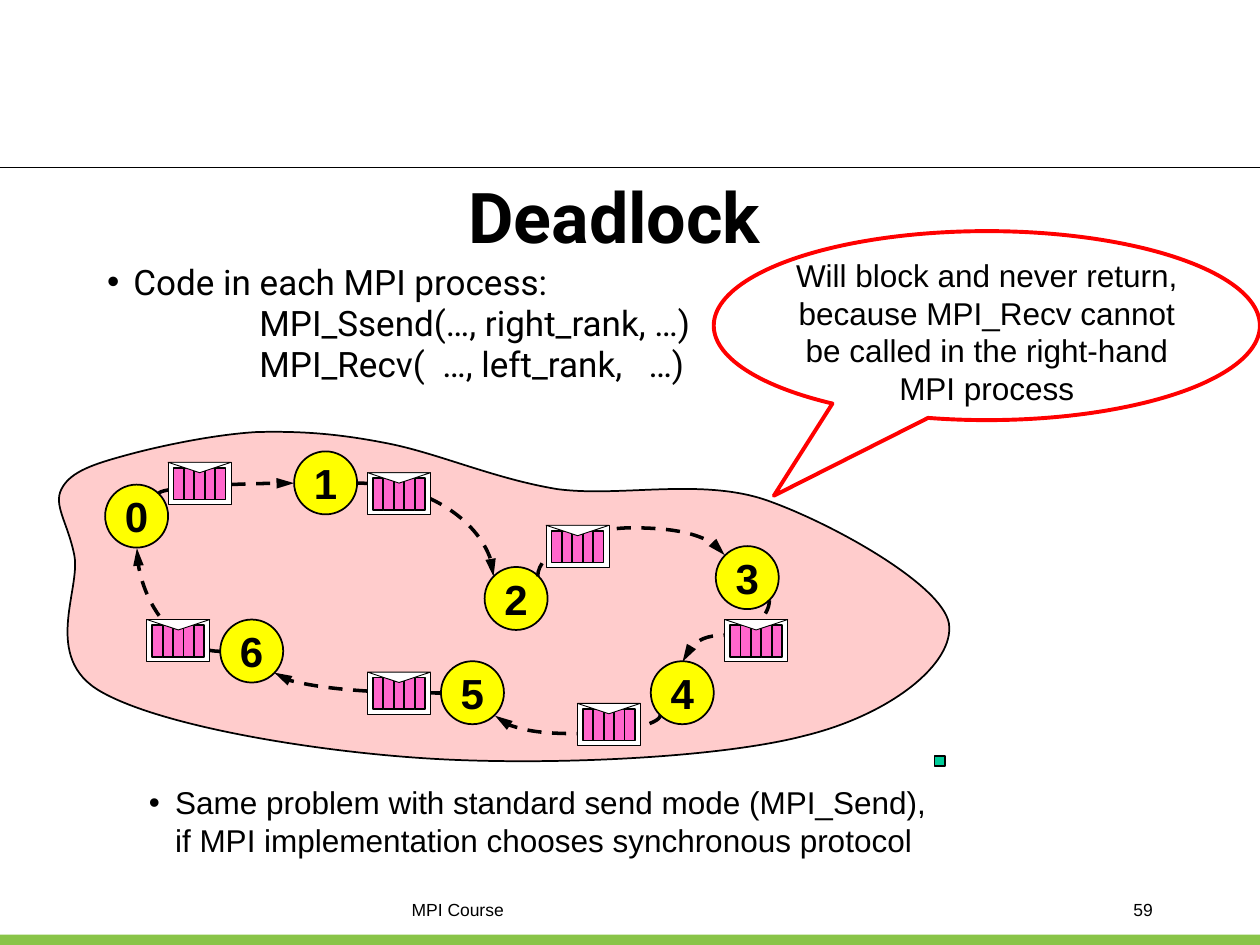
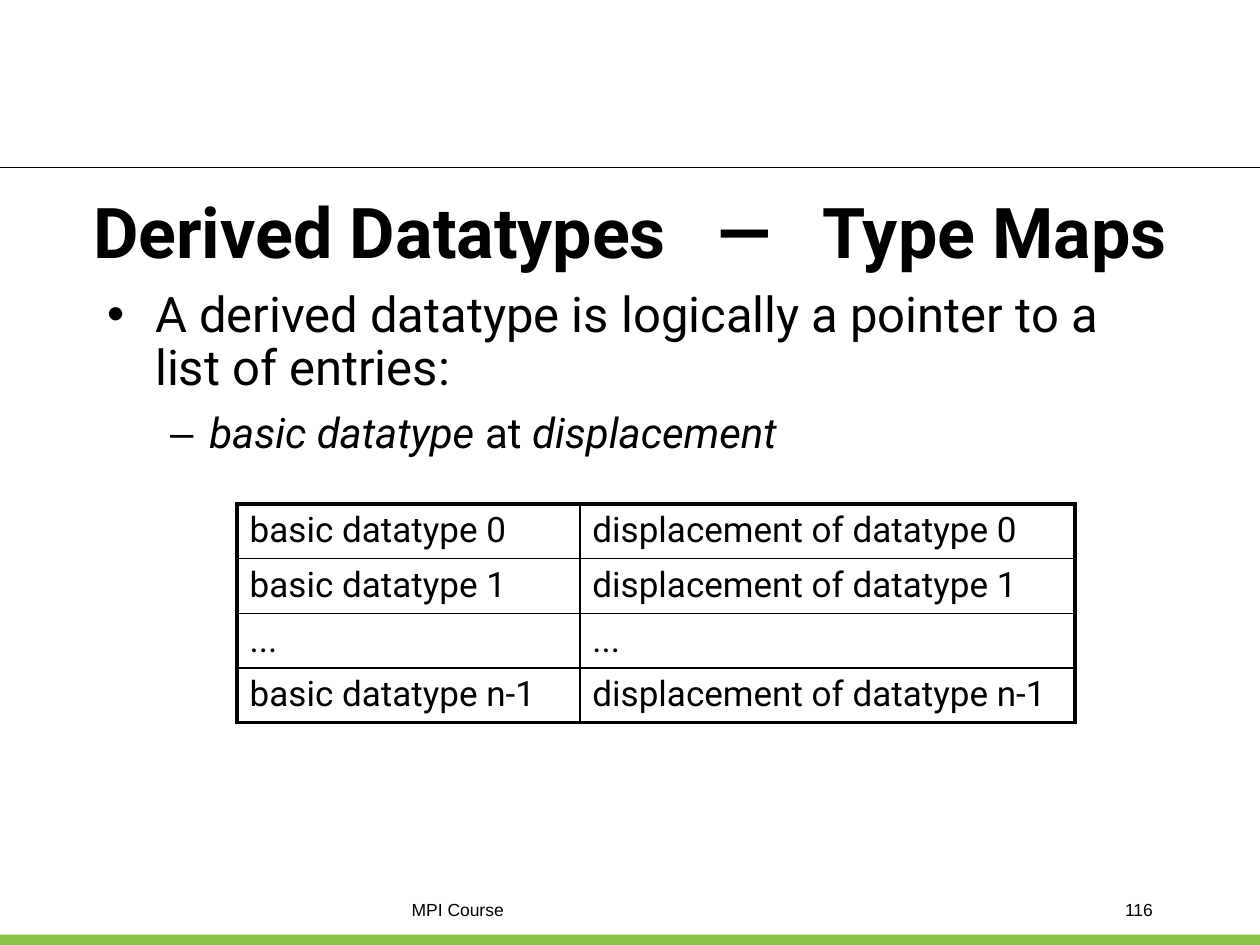
from dataclasses import dataclass
from itertools import chain

from lxml.etree import SubElement
from pptx import Presentation
from pptx.dml.color import RGBColor
from pptx.enum.dml import MSO_LINE
from pptx.enum.shapes import MSO_CONNECTOR, MSO_SHAPE
from pptx.enum.text import MSO_ANCHOR, PP_ALIGN
from pptx.oxml.ns import qn
from pptx.util import Cm, Pt


@dataclass(frozen=True)
class Theme:
    ink: str = "000000"
    paper: str = "FFFFFF"
    band: str = "89C448"
    cloud: str = "FFCCCC"
    rank: str = "FFFF00"
    letter: str = "FF66CC"
    alert: str = "FF0000"
    marker: str = "00CC99"
    head_font: str = "Roboto"
    note_font: str = "Arial"
    title: int = 40
    lead: int = 28
    rank_size: int = 24
    sub: int = 24
    code: int = 20
    note: int = 18
    footer: int = 10


THEME = Theme()


def rgb(value):
    return RGBColor.from_string(value)


def put_text(tf, text, *, size, font=THEME.head_font, bold=False,
             align=PP_ALIGN.LEFT, new=False, before=0, line=None,
             left=0, hang=0, bullet=None):
    p = tf.add_paragraph() if new else tf.paragraphs[0]
    p.alignment = align
    p.space_before = Pt(before)
    if line:
        p.line_spacing = line
    pPr = p._p.get_or_add_pPr()
    pPr.set("marL", str(Cm(left)))
    pPr.set("indent", str(-Cm(hang)))
    if bullet:
        SubElement(pPr, qn("a:buFont")).set("typeface", THEME.note_font)
        SubElement(pPr, qn("a:buChar")).set("char", bullet)
    else:
        SubElement(pPr, qn("a:buNone"))
    runs = [(text, {})] if isinstance(text, str) else text
    for words, extra in runs:
        for i, part in enumerate(words.split("\n")):
            if i:
                p.add_line_break()
            r = p.add_run()
            r.text = part
            r.font.name = font
            r.font.size = Pt(size)
            r.font.bold = bold
            r.font.italic = extra.get("italic", False)
            r.font.color.rgb = rgb(THEME.ink)
            if "spread" in extra:
                r._r.get_or_add_rPr().set("spc", str(round(extra["spread"] * 100)))


def wide_space(points):
    return " ", {"spread": points}


class Deck:
    def __init__(self, theme):
        self.theme = theme
        self.prs = Presentation()
        self.prs.slide_width, self.prs.slide_height = Cm(25.4), Cm(19.05)
        self.s = None

    def new_slide(self, number):
        t = self.theme
        self.s = self.prs.slides.add_slide(self.prs.slide_layouts[6])
        self.s.background.fill.solid()
        self.s.background.fill.fore_color.rgb = rgb(t.paper)
        self.shape(MSO_SHAPE.RECTANGLE, 0, 18.84, 25.4, 0.21, fill=t.band)
        self.connector(MSO_CONNECTOR.STRAIGHT, 0, 3.38, 25.4, 0, 0.75)
        put_text(self.text_box(8.05, 17.99, 9.31, 0.64), "MPI Course",
                 size=t.footer, font=t.note_font)
        put_text(self.text_box(18.2, 17.99, 5.29, 0.64), str(number),
                 size=t.footer, font=t.note_font, align=PP_ALIGN.RIGHT)

    def paint(self, sp, fill, line, weight):
        sp.shadow.inherit = False
        if fill:
            sp.fill.solid()
            sp.fill.fore_color.rgb = rgb(fill)
        else:
            sp.fill.background()
        if line:
            sp.line.color.rgb = rgb(line)
            sp.line.width = Pt(weight)
        else:
            sp.line.fill.background()
        return sp

    def shape(self, kind, x, y, w, h, fill=None, line=None, weight=1, parent=None):
        shapes = (parent or self.s).shapes
        sp = shapes.add_shape(kind, Cm(x), Cm(y), Cm(w), Cm(h))
        return self.paint(sp, fill, line, weight)

    def outline(self, points, fill, weight, parent=None):
        points = [(Cm(x), Cm(y)) for x, y in points]
        builder = (parent or self.s).shapes.build_freeform(*points[0])
        builder.add_line_segments(points[1:], close=True)
        return self.paint(builder.convert_to_shape(), fill, self.theme.ink, weight)

    def curved_outline(self, start, curves, fill, weight):
        sp = self.outline([start, *chain.from_iterable(curves)], fill, weight)
        legs = list(sp._element.iter(qn("a:lnTo")))
        for i in range(0, 3 * len(curves), 3):
            bend = legs[i].getparent().makeelement(qn("a:cubicBezTo"))
            legs[i].addprevious(bend)
            for leg in legs[i:i + 3]:
                bend.append(leg[0])
        for leg in legs:
            leg.getparent().remove(leg)

    def connector(self, kind, x, y, w, h, weight):
        cxn = self.s.shapes.add_connector(kind, Cm(x), Cm(y), Cm(x + w), Cm(y + h))
        cxn.line.color.rgb = rgb(self.theme.ink)
        cxn.line.width = Pt(weight)
        SubElement(cxn._element.spPr, qn("a:effectLst"))
        return cxn

    def curved_arrow(self, start, end, turn, bend=None):
        (x1, y1), (x2, y2) = start, end
        w, h = abs(x2 - x1), abs(y2 - y1)
        if turn in (90, 270):
            w, h = h, w
        cxn = self.connector(MSO_CONNECTOR.CURVE, (x1 + x2 - w) / 2,
                             (y1 + y2 - h) / 2, w, h, 2)
        cxn.line.dash_style = MSO_LINE.DASH
        spPr = cxn._element.spPr
        spPr.xfrm.set("rot", str(turn * 60000))
        geom = spPr.find(qn("a:prstGeom"))
        if bend is None:
            geom.set("prst", "curvedConnector2")
        else:
            guide = SubElement(geom.find(qn("a:avLst")), qn("a:gd"))
            guide.set("name", "adj1")
            guide.set("fmla", f"val {round(bend * 100000)}")
        tail = SubElement(spPr.find(qn("a:ln")), qn("a:tailEnd"))
        for key, value in (("type", "triangle"), ("w", "med"), ("len", "lg")):
            tail.set(key, value)

    def text_box(self, x, y, w, h, anchor=MSO_ANCHOR.TOP):
        tf = self.s.shapes.add_textbox(Cm(x), Cm(y), Cm(w), Cm(h)).text_frame
        tf.word_wrap = True
        tf.vertical_anchor = anchor
        return tf

    def title(self, text, x, y, w, h):
        put_text(self.text_box(x, y, w, h, MSO_ANCHOR.MIDDLE), text,
                 size=self.theme.title, bold=True, align=PP_ALIGN.CENTER)

    def rank(self, number, x, y):
        t = self.theme
        sp = self.shape(MSO_SHAPE.OVAL, x, y, 1.27, 1.27, t.rank, t.ink)
        tf = sp.text_frame
        tf.word_wrap = False
        tf.vertical_anchor = MSO_ANCHOR.MIDDLE
        put_text(tf, str(number), size=t.rank_size, font=t.note_font,
                 bold=True, align=PP_ALIGN.CENTER)

    def envelope(self, x, y):
        t = self.theme
        group = self.s.shapes.add_group_shape()
        box = MSO_SHAPE.RECTANGLE
        self.shape(box, x, y, 1.27, 0.85, t.paper, t.ink, 0.5, group)
        for i in range(5):
            self.shape(box, x + 0.11 + 0.21 * i, y + 0.11, 0.21, 0.64,
                       t.letter, t.ink, 1, group)
        flap = [(x, y), (x + 1.27 / 2, y + 0.21), (x + 1.27, y)]
        self.outline(flap, t.paper, 0.5, group)

    def callout(self, text, x, y, w, h, tip):
        t = self.theme
        sp = self.shape(MSO_SHAPE.OVAL_CALLOUT, x, y, w, h, None, t.alert, 2.25)
        sp.adjustments[0], sp.adjustments[1] = tip
        tf = sp.text_frame
        tf.word_wrap = True
        tf.vertical_anchor = MSO_ANCHOR.MIDDLE
        tf.margin_left = tf.margin_right = tf.margin_bottom = 0
        tf.margin_top = Cm(0.23)
        put_text(tf, text, size=t.note, font=t.note_font, align=PP_ALIGN.CENTER)

    def table(self, rows, x, y, widths, row_height):
        n, m = len(rows), len(widths)
        tbl = self.s.shapes.add_table(n, m, Cm(x), Cm(y), Cm(sum(widths)),
                                      Cm(n * row_height)).table
        tbl.first_row = tbl.horz_banding = False
        for col, width in zip(tbl.columns, widths):
            col.width = Cm(width)
        for i, row in enumerate(rows):
            tbl.rows[i].height = Cm(row_height)
            for j, text in enumerate(row):
                cell = tbl.cell(i, j)
                put_text(cell.text_frame, text, size=self.theme.code)
                self.borders(cell, lnL=j == 0, lnR=j == m - 1,
                             lnT=i == 0, lnB=i == n - 1)
                cell.fill.background()

    def borders(self, cell, **outer):
        tcPr = cell._tc.get_or_add_tcPr()
        for side, is_outer in outer.items():
            ln = SubElement(tcPr, qn(f"a:{side}"))
            ln.set("w", str(Pt(2.25 if is_outer else 1)))
            fill = SubElement(ln, qn("a:solidFill"))
            SubElement(fill, qn("a:srgbClr")).set("val", self.theme.ink)


CLOUD_START = (2.57, 9.17)
CLOUD_CURVES = [
    ((3.23, 8.99), (4.32, 8.76), (5.18, 8.71)),
    ((6.07, 8.69), (6.81, 8.74), (7.82, 8.94)),
    ((8.84, 9.14), (9.96, 9.65), (11.23, 9.86)),
    ((12.5, 10.03), (14.12, 9.63), (15.44, 10.08)),
    ((16.76, 10.54), (19, 11.79), (19.13, 12.57)),
    ((19.25, 13.36), (17.98, 14.4), (16.23, 14.83)),
    ((14.48, 15.29), (10.97, 15.44), (8.61, 15.29)),
    ((6.25, 15.14), (3.23, 14.63), (2.03, 13.94)),
    ((0.84, 13.26), (1.63, 11.89), (1.5, 11.2)),
    ((1.37, 10.54), (1.07, 10.19), (1.24, 9.86)),
    ((1.42, 9.5), (1.91, 9.35), (2.57, 9.17)),
]
RANKS = [(2.12, 9.77), (5.93, 9.1), (9.77, 11.43), (14.43, 11.01),
         (13.12, 13.33), (8.89, 13.33), (4.44, 12.49)]
MESSAGES = [
    ((3.2, 9.95), (5.93, 9.74), 270),
    ((7.2, 9.74), (9.95, 11.62), 0),
    ((10.84, 11.62), (14.61, 11.19), 270, 2.28),
    ((15.51, 12.1), (13.76, 13.34), 90, 0.57),
    ((13.31, 14.42), (9.98, 14.43), 90, 37),
    ((8.89, 13.97), (5.53, 13.56), 180),
    ((4.45, 13.13), (2.76, 11.05), 180),
]
ENVELOPES = [(3.39, 9.32), (7.41, 9.53), (11.01, 10.59), (14.61, 12.49),
             (11.64, 14.18), (7.41, 13.55), (2.96, 12.49)]


def deadlock(deck):
    t = deck.theme
    deck.new_slide(59)
    deck.title("Deadlock", 1.06, 3.61, 22.65, 1.48)
    tf = deck.text_box(1.91, 5.3, 21.59, 2.74)
    put_text(tf, "Code in each MPI process:", size=t.code, line=0.8,
             left=0.53, hang=0.53, bullet="•")
    receive = [("MPI_Recv(", {}), wide_space(5), ("…, left_rank,", {}),
               wide_space(10), ("…)", {})]
    for call in ("MPI_Ssend(…, right_rank, …)", receive):
        put_text(tf, call, size=t.code, new=True, before=4, line=0.8, left=3.07)

    deck.curved_outline(CLOUD_START, CLOUD_CURVES, t.cloud, 1)
    for number, place in enumerate(RANKS):
        deck.rank(number, *place)
    for message in MESSAGES:
        deck.curved_arrow(*message)
    for place in ENVELOPES:
        deck.envelope(*place)

    deck.callout("Will block and never return, because MPI_Recv cannot "
                 "be called in the right-hand MPI process",
                 14.39, 4.66, 11.01, 3.81, (-0.39, 0.9))
    put_text(deck.text_box(2.75, 15.67, 20.57, 1.91),
             "Same problem with standard send mode (MPI_Send),\n"
             "if MPI implementation chooses synchronous protocol",
             size=t.note, font=t.note_font, left=0.53, hang=0.53, bullet="•")
    deck.shape(MSO_SHAPE.RECTANGLE, 18.84, 15.24, 0.21, 0.21, t.marker, t.ink)


def type_maps(deck):
    t = deck.theme
    deck.new_slide(116)
    deck.title([("Derived Datatypes", {}), wide_space(19.5), ("—", {}),
                wide_space(19.5), ("Type Maps", {})], 0, 3.79, 25.4, 1.7)
    tf = deck.text_box(1.91, 5.72, 21.59, 3.73)
    put_text(tf, "A derived datatype is logically a pointer to a list of entries:",
             size=t.lead, line=0.9, left=0.97, hang=0.97, bullet="•")
    put_text(tf, [("basic datatype", {"italic": True}), (" at ", {}),
                  ("displacement", {"italic": True})],
             size=t.sub, new=True, before=9.6, line=0.9,
             left=2.06, hang=0.79, bullet="–")
    rows = [(f"basic datatype {n}", f"displacement of datatype {n}")
            for n in ("0", "1", "n-1")]
    rows.insert(2, ("...", "..."))
    deck.table(rows, 4.78, 10.16, (6.91, 9.98), 1.09)


def main():
    deck = Deck(THEME)
    deadlock(deck)
    type_maps(deck)
    deck.prs.save("out.pptx")


if __name__ == "__main__":
    main()
